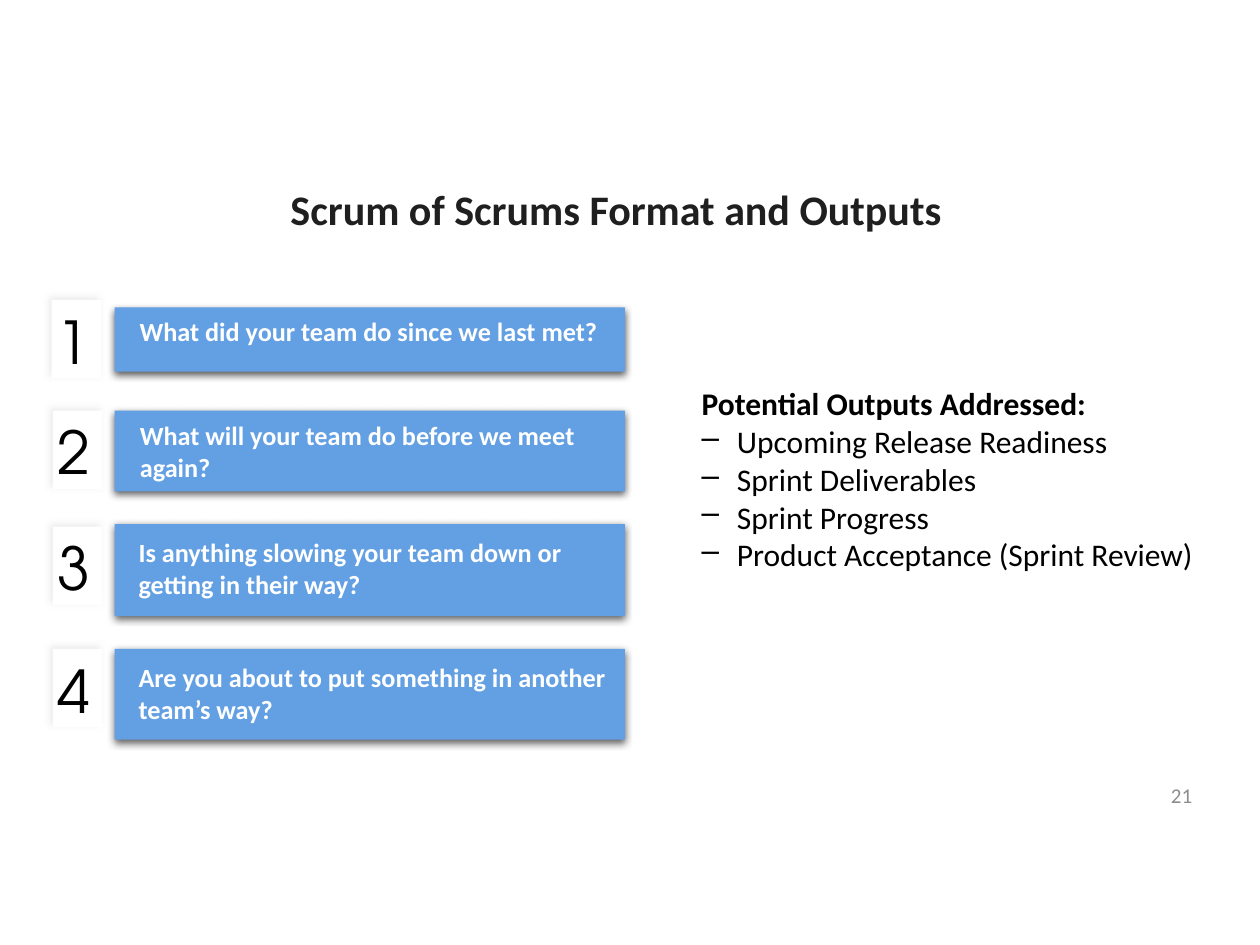
import pptx
import pptx.util
import pptx.dml.color
import pptx.enum.shapes
import pptx.enum.text
from dataclasses import dataclass
from lxml import etree
from pptx.oxml.ns import qn
from pptx.util import Inches

ALIGN = pptx.enum.text.PP_ALIGN
ANCHOR = pptx.enum.text.MSO_ANCHOR


@dataclass(frozen=True)
class Theme:
    font: str = "Calibri"
    digit: str = "TeX Gyre Adventor"
    title: str = "1F1F1F"
    ink: str = "000000"
    paper: str = "FFFFFF"
    bar: str = "63A0E3"
    glow: str = "E7E6E6"
    muted: str = "8C8C8C"
    title_size: float = 24
    list_size: float = 18
    ask_size: float = 15
    page_size: float = 12
    digit_size: float = 33.8


THEME = Theme()

# question, bar top and height, text box (left, top, width), inset, digit box (left, top)
ROWS = [
    ("What did your team do since we last met?",
     2.44, 0.51, (1.01, 2.45, 3.84), (0.1, 0.05), (0.41, 2.38)),
    ("What will your team do before we meet again?",
     3.26, 0.64, (1.04, 3.29, 3.73), (0.07, 0.04), (0.42, 3.26)),
    ("Is anything slowing your team down or getting in their way?",
     4.16, 0.73, (1.03, 4.22, 3.74), (0.07, 0.04), (0.42, 4.18)),
    ("Are you about to put something in another team’s way?",
     5.15, 0.72, (1.03, 5.21, 4.16), (0.07, 0.04), (0.42, 5.15)),
]
OUTPUTS = ["Upcoming Release Readiness", "Sprint Deliverables",
           "Sprint Progress", "Product Acceptance (Sprint Review)"]


def rgb(color):
    return pptx.dml.color.RGBColor.from_string(color)


def write(para, text, *, size, color=THEME.ink, font=THEME.font, bold=False,
          align=ALIGN.LEFT, spacing=None):
    para.alignment = align
    if spacing:
        para.line_spacing = spacing
    run = para.add_run()
    run.text = text
    run.font.size = pptx.util.Pt(size)
    run.font.name = font
    run.font.bold = bold
    run.font.color.rgb = rgb(color)


def frame(shape, inset=(0.1, 0.05), anchor=ANCHOR.TOP):
    """Set wrapping, margins and anchor; return the text frame."""
    body = shape.text_frame
    body.word_wrap = True
    body.margin_left = body.margin_right = Inches(inset[0])
    body.margin_top = body.margin_bottom = Inches(inset[1])
    body.vertical_anchor = anchor
    return body


def box(slide, place, **form):
    return frame(slide.shapes.add_textbox(*map(Inches, place)), **form)


def shade(shape, color, alpha, blur, dist, angle):
    """Add an outer shadow: alpha in percent, blur and dist in points."""
    shape.shadow.inherit = False
    effects = shape._element.spPr.find(qn("a:effectLst"))
    outer = etree.SubElement(
        effects, qn("a:outerShdw"), blurRad=str(pptx.util.Pt(blur)),
        dist=str(pptx.util.Pt(dist)), dir=str(angle * 60000),
        algn="ctr", rotWithShape="0")
    tone = etree.SubElement(outer, qn("a:srgbClr"), val=color)
    etree.SubElement(tone, qn("a:alpha"), val=str(alpha * 1000))


def panel(slide, place, fill, shadow):
    kind = pptx.enum.shapes.MSO_SHAPE.RECTANGLE
    shape = slide.shapes.add_shape(kind, *map(Inches, place))
    shape.fill.solid()
    shape.fill.fore_color.rgb = rgb(fill)
    shape.line.fill.background()
    shade(shape, *shadow)
    return shape


def dash(para):
    """Give the paragraph a hanging dash."""
    props = para._p.get_or_add_pPr()
    props.set("marL", str(Inches(0.28)))
    props.set("indent", str(-Inches(0.28)))
    etree.SubElement(props, qn("a:buChar"), char="–")


def add_title(slide):
    title = slide.shapes.title
    title.left, title.top, title.width, title.height = map(
        Inches, (0.58, 1.45, 8.62, 0.46))
    body = frame(title, anchor=ANCHOR.MIDDLE)
    write(body.paragraphs[0], "Scrum of Scrums Format and Outputs",
          size=THEME.title_size, color=THEME.title, bold=True,
          align=ALIGN.CENTER, spacing=0.9)


def add_row(slide, number, row):
    ask, top, height, place, inset, corner = row
    panel(slide, (0.91, top, 4.05, height), THEME.bar,
          (THEME.ink, 63, 4.5, 1.5, 90))
    body = box(slide, (*place, 0.3), inset=inset)
    write(body.paragraphs[0], ask, size=THEME.ask_size,
          color=THEME.paper, bold=True)
    tile = panel(slide, (*corner, 0.39, 0.62), THEME.paper,
                 (THEME.glow, 75, 4, 2, 225))
    body = frame(tile, inset=(0.04, 0.04))
    write(body.paragraphs[0], str(number), size=THEME.digit_size,
          font=THEME.digit)


def add_outputs(slide):
    body = box(slide, (5.47, 3, 4.42, 1.62))
    write(body.paragraphs[0], "Potential Outputs Addressed:",
          size=THEME.list_size, bold=True)
    for item in OUTPUTS:
        para = body.add_paragraph()
        dash(para)
        write(para, item, size=THEME.list_size)


def add_page(slide):
    body = box(slide, (9.02, 6.16, 0.54, 0.3), anchor=ANCHOR.MIDDLE)
    write(body.paragraphs[0], "21", size=THEME.page_size,
          color=THEME.muted, align=ALIGN.RIGHT)


def main():
    deck = pptx.Presentation()
    deck.slide_width, deck.slide_height = Inches(10), Inches(7.5)
    slide = deck.slides.add_slide(deck.slide_layouts[5])
    add_title(slide)
    for number, row in enumerate(ROWS, 1):
        add_row(slide, number, row)
    add_outputs(slide)
    add_page(slide)
    deck.save("out.pptx")


if __name__ == "__main__":
    main()
